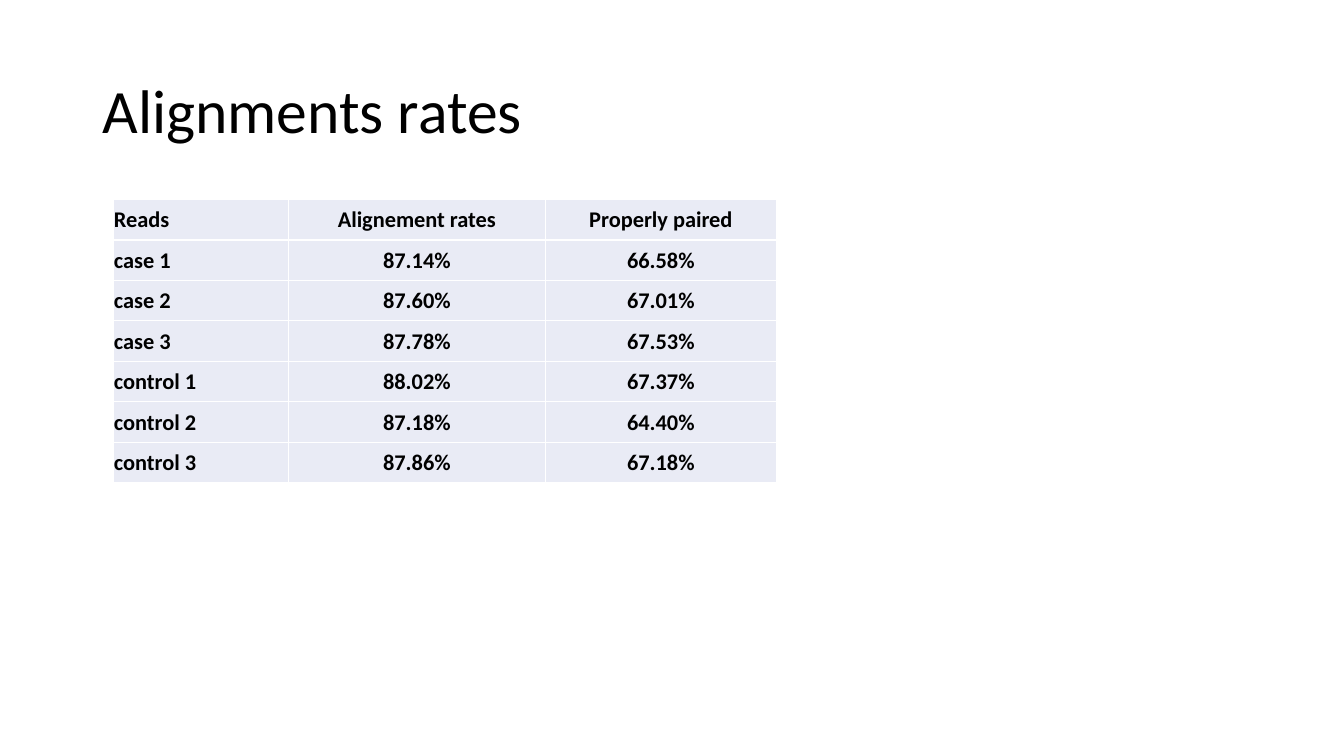
from lxml.etree import SubElement
from pptx import Presentation
from pptx.dml.color import RGBColor
from pptx.enum.text import MSO_ANCHOR as Anchor, PP_ALIGN as Align
from pptx.oxml.ns import qn
from pptx.util import Inches, Pt

FONT = "Calibri"
BLACK, WHITE, PALE_BLUE = "000000", "FFFFFF", "E9EBF5"
COLUMN_WIDTHS = (1.74, 2.55, 2.29)
RATES = (
    ("Reads", "Alignement rates", "Properly paired"),
    ("case 1", "87.14%", "66.58%"),
    ("case 2", "87.60%", "67.01%"),
    ("case 3", "87.78%", "67.53%"),
    ("control 1", "88.02%", "67.37%"),
    ("control 2", "87.18%", "64.40%"),
    ("control 3", "87.86%", "67.18%"),
)


def color(hex_code):
    """Turn a hex string into a colour."""
    return RGBColor.from_string(hex_code)


def add_text(paragraph, wording, size, bold=False):
    """Add one styled run to a paragraph."""
    run = paragraph.add_run()
    run.text = wording
    run.font.name, run.font.size, run.font.bold = FONT, Pt(size), bold
    run.font.color.rgb = color(BLACK)


def add_borders(cell, hex_code, points):
    """Draw the same line on all four sides of a cell."""
    properties = cell._tc.get_or_add_tcPr()
    for index, side in enumerate(("a:lnL", "a:lnR", "a:lnT", "a:lnB")):
        border = SubElement(properties, qn(side), w=str(Pt(points)))
        fill = SubElement(border, qn("a:solidFill"))
        SubElement(fill, qn("a:srgbClr"), val=hex_code)
        properties.insert(index, border)


def add_title(slide, left, top, width, height):
    """Place the slide title, centred vertically in its box."""
    title = slide.shapes.add_textbox(
        Inches(left), Inches(top), Inches(width), Inches(height)).text_frame
    title.word_wrap = True
    title.vertical_anchor = Anchor.MIDDLE
    heading = title.paragraphs[0]
    heading.line_spacing = 0.9
    add_text(heading, "Alignments rates", 44)


def fill_cell(cell, wording, align):
    """Style one table cell and write its text."""
    cell.fill.solid()
    cell.fill.fore_color.rgb = color(PALE_BLUE)
    add_borders(cell, WHITE, 1)
    cell.vertical_anchor = Anchor.MIDDLE
    cell.margin_left = cell.margin_right = cell.margin_top = Inches(0.01)
    cell.margin_bottom = 0
    cell.text_frame.paragraphs[0].alignment = align
    add_text(cell.text_frame.paragraphs[0], wording, 16, bold=True)


def add_rates_table(slide, left, top, height):
    """Place the table of rates, with rows of equal height."""
    table = slide.shapes.add_table(
        len(RATES), len(COLUMN_WIDTHS), Inches(left), Inches(top),
        Inches(sum(COLUMN_WIDTHS)), Inches(height)).table
    for column, width in zip(table.columns, COLUMN_WIDTHS):
        column.width = Inches(width)
    for row, reads in enumerate(RATES):
        for column, wording in enumerate(reads):
            align = Align.CENTER if column else Align.LEFT
            fill_cell(table.cell(row, column), wording, align)


def main():
    """Build and save the slide."""
    deck = Presentation()
    deck.slide_width, deck.slide_height = Inches(13.33), Inches(7.5)
    slide = deck.slides.add_slide(deck.slide_layouts[6])
    add_title(slide, 0.92, 0.4, 11.5, 1.45)
    add_rates_table(slide, 1.12, 1.98, 2.81)
    deck.save("out.pptx")


if __name__ == "__main__":
    main()
